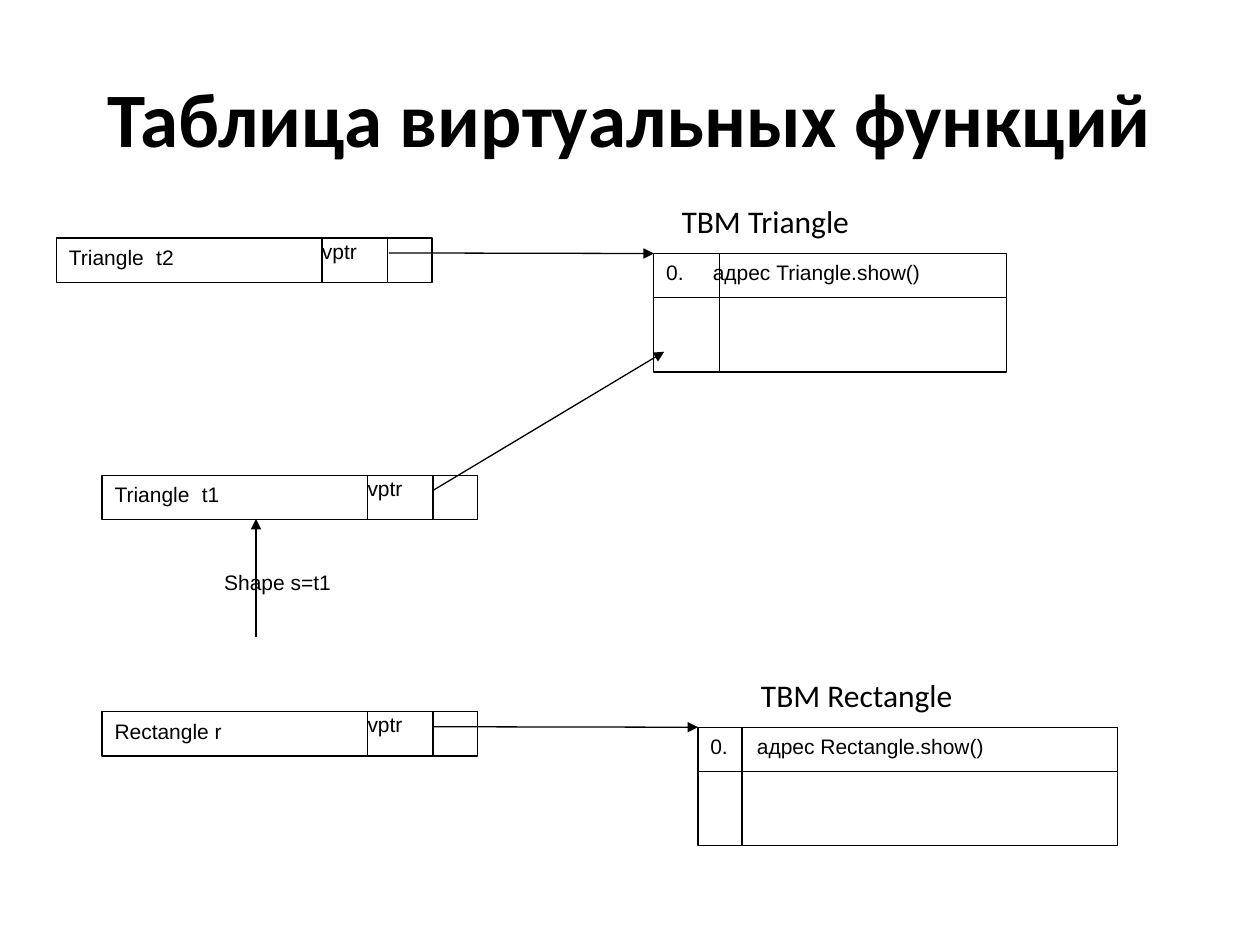
from lxml import etree
from pptx import Presentation
from pptx import util as u
from pptx.dml.color import RGBColor
from pptx.enum import shapes, text
from pptx.oxml.ns import qn

BLACK, WHITE = "000000", "FFFFFF"
ROW = 0.89           # height of an object and of a table row, cm
OBJECT_WIDTH = 7.57
VPTR_LEFT, VPTR_WIDTH = 5.35, 1.32
ARROW_DROP = 0.3     # from the top of an object to its pointer
TABLE_HEIGHT = 2.39


def paint(color_format, color):
    color_format.rgb = RGBColor.from_string(color)


def write(shape, words, size=12, font="Arial", bold=False, tab=None, inset=True):
    """Put one styled paragraph in a shape, with an optional tab stop in cm."""
    frame = shape.text_frame
    frame.word_wrap = True
    frame.vertical_anchor = text.MSO_ANCHOR.TOP
    side, edge = (0.25, 0.13) if inset else (0, 0)
    frame.margin_left = frame.margin_right = u.Cm(side)
    frame.margin_top = frame.margin_bottom = u.Cm(edge)
    frame.text = words
    paragraph = frame.paragraphs[0]
    paragraph.alignment = text.PP_ALIGN.LEFT
    if tab:
        stops = etree.SubElement(paragraph._p.get_or_add_pPr(), qn("a:tabLst"))
        etree.SubElement(stops, qn("a:tab"), pos=str(u.Cm(tab)), algn="l")
    for run in paragraph.runs:
        run.font.size, run.font.name, run.font.bold = u.Pt(size), font, bold
        paint(run.font.color, BLACK)
    return frame


def add_label(slide, left, top, width, height, words, **style):
    label = slide.shapes.add_textbox(u.Cm(left), u.Cm(top), u.Cm(width), u.Cm(height))
    return write(label, words, **style)


def add_box(slide, left, top, width, height, words, **style):
    box = slide.shapes.add_shape(shapes.MSO_SHAPE.RECTANGLE, u.Cm(left), u.Cm(top),
                                 u.Cm(width), u.Cm(height))
    box.shadow.inherit = False
    box.fill.solid()
    paint(box.fill.fore_color, WHITE)
    paint(box.line.color, BLACK)
    box.line.width = u.Pt(0.75)
    write(box, words, **style)


def add_line(slide, start, end, arrow=False):
    line = slide.shapes.add_connector(shapes.MSO_CONNECTOR.STRAIGHT,
                                      *(u.Cm(value) for value in (*start, *end)))
    paint(line.line.color, BLACK)
    line.line.width = u.Pt(0.75)
    if arrow:
        etree.SubElement(line.line._get_or_add_ln(), qn("a:tailEnd"), type="triangle")
    etree.SubElement(line._element.spPr, qn("a:effectLst"))


def add_title(slide, left, top, width, height):
    frame = add_label(slide, left, top, width, height, "Таблица виртуальных функций",
                      size=44, font="Calibri", bold=True)
    frame.vertical_anchor = text.MSO_ANCHOR.MIDDLE
    frame.paragraphs[0].alignment = text.PP_ALIGN.CENTER


def add_object(slide, left, top, name, pointer_offset, target):
    """An object with its vptr field and the arrow to a method table."""
    add_box(slide, left, top, OBJECT_WIDTH, ROW, name, tab=1.76)
    add_line(slide, (left + pointer_offset, top + ARROW_DROP), target, arrow=True)
    add_box(slide, left + VPTR_LEFT, top, VPTR_WIDTH, ROW, "vptr", inset=False)


def add_method_table(slide, left, top, width, class_name, index_width, caption_offset):
    """A virtual method table: outline, two rules and the caption above."""
    add_box(slide, left, top, width, TABLE_HEIGHT,
            f"0.\tадрес {class_name}.show()", tab=0.94)
    add_line(slide, (left + index_width, top), (left + index_width, top + TABLE_HEIGHT))
    add_line(slide, (left, top + ROW), (left + width, top + ROW))
    add_label(slide, left + caption_offset, top - 1.16, 6.91, 1.02,
              f"ТВМ {class_name}", size=18, font="Calibri")


def add_assignment(slide, left, top, height):
    """The upward arrow and its label."""
    add_line(slide, (left, top + height), (left, top), arrow=True)
    add_label(slide, left - ROW, top + ROW, 6.22, ROW, "Shape s=t1")


def main():
    deck = Presentation()
    deck.slide_width, deck.slide_height = u.Cm(25.4), u.Cm(19.05)
    slide = deck.slides.add_slide(deck.slide_layouts[6])

    add_title(slide, 1.27, 0.76, 22.86, 3.18)

    # Method tables
    triangle_table, rectangle_table = (13.18, 5.11), (14.07, 14.66)
    add_method_table(slide, *triangle_table, 7.11, "Triangle", 1.32, 0.31)
    add_method_table(slide, *rectangle_table, 8.46, "Rectangle", 0.89, 1.02)

    # Objects
    add_object(slide, 1.14, 4.8, "Triangle\tt2", 6.7, triangle_table)
    add_object(slide, 2.06, 9.58, "Triangle\tt1", 6.68, (13.39, 7.09))
    add_object(slide, 2.06, 14.35, "Rectangle r", 6.68, rectangle_table)

    add_assignment(slide, 5.16, 10.46, 2.39)
    deck.save("out.pptx")


if __name__ == "__main__":
    main()
